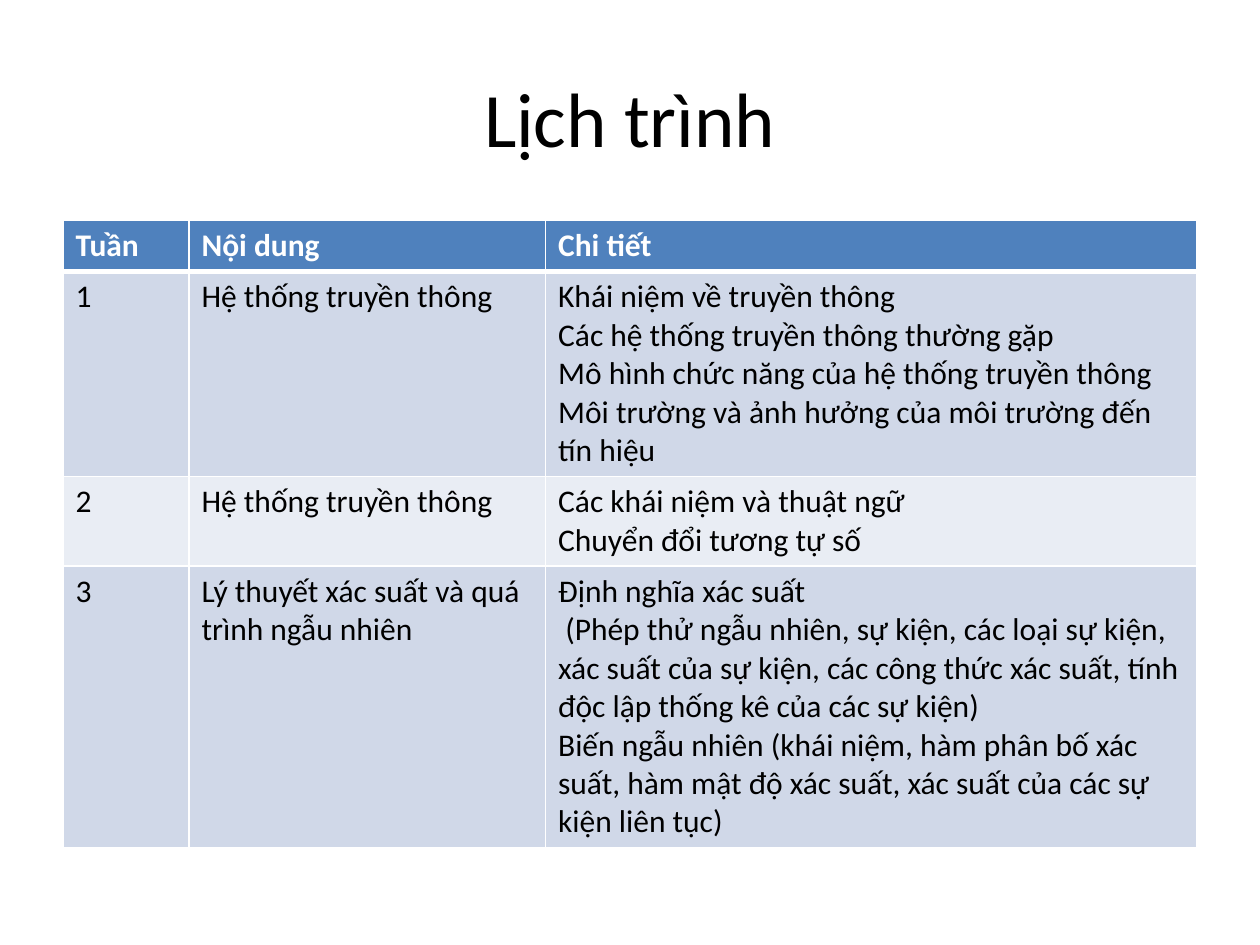
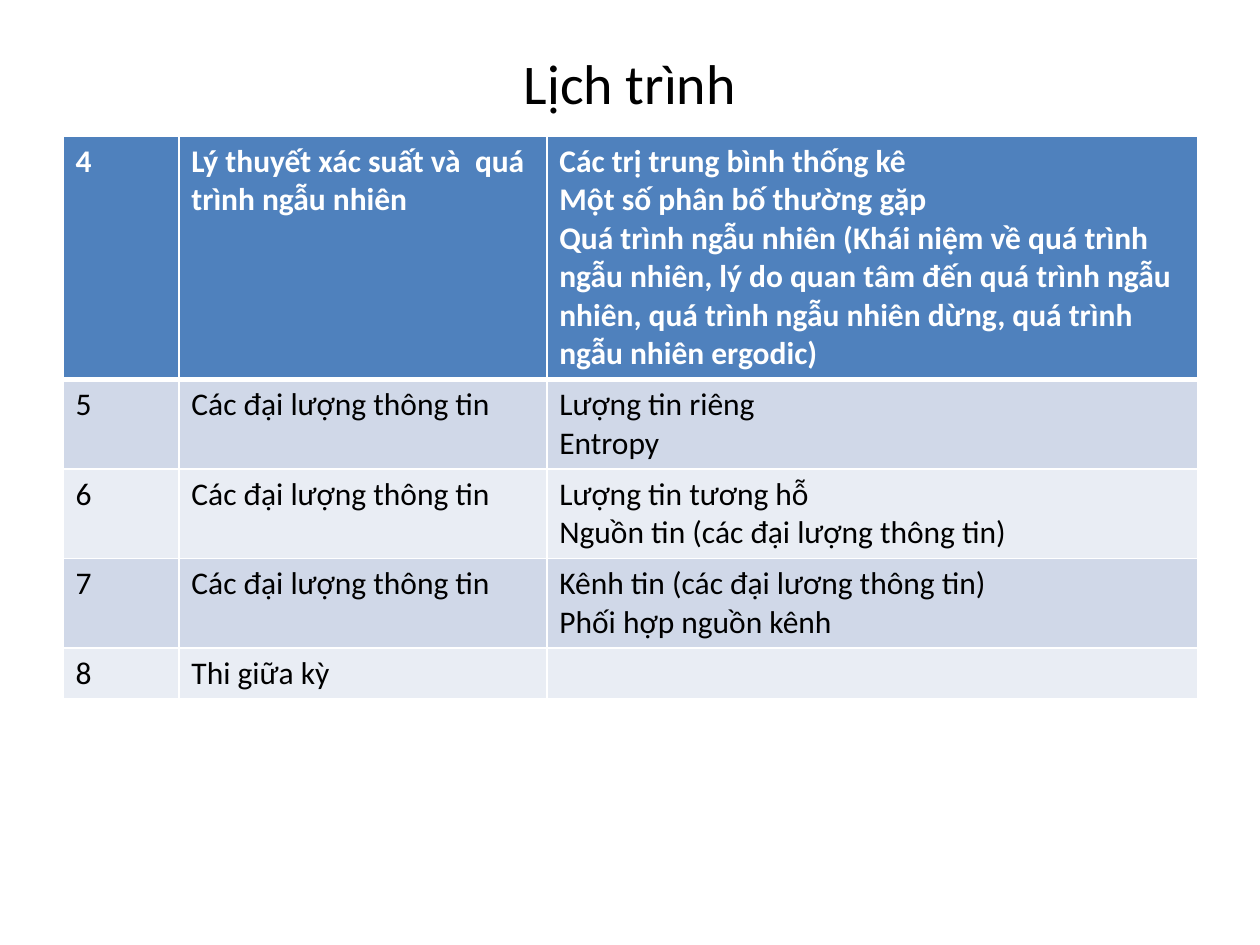
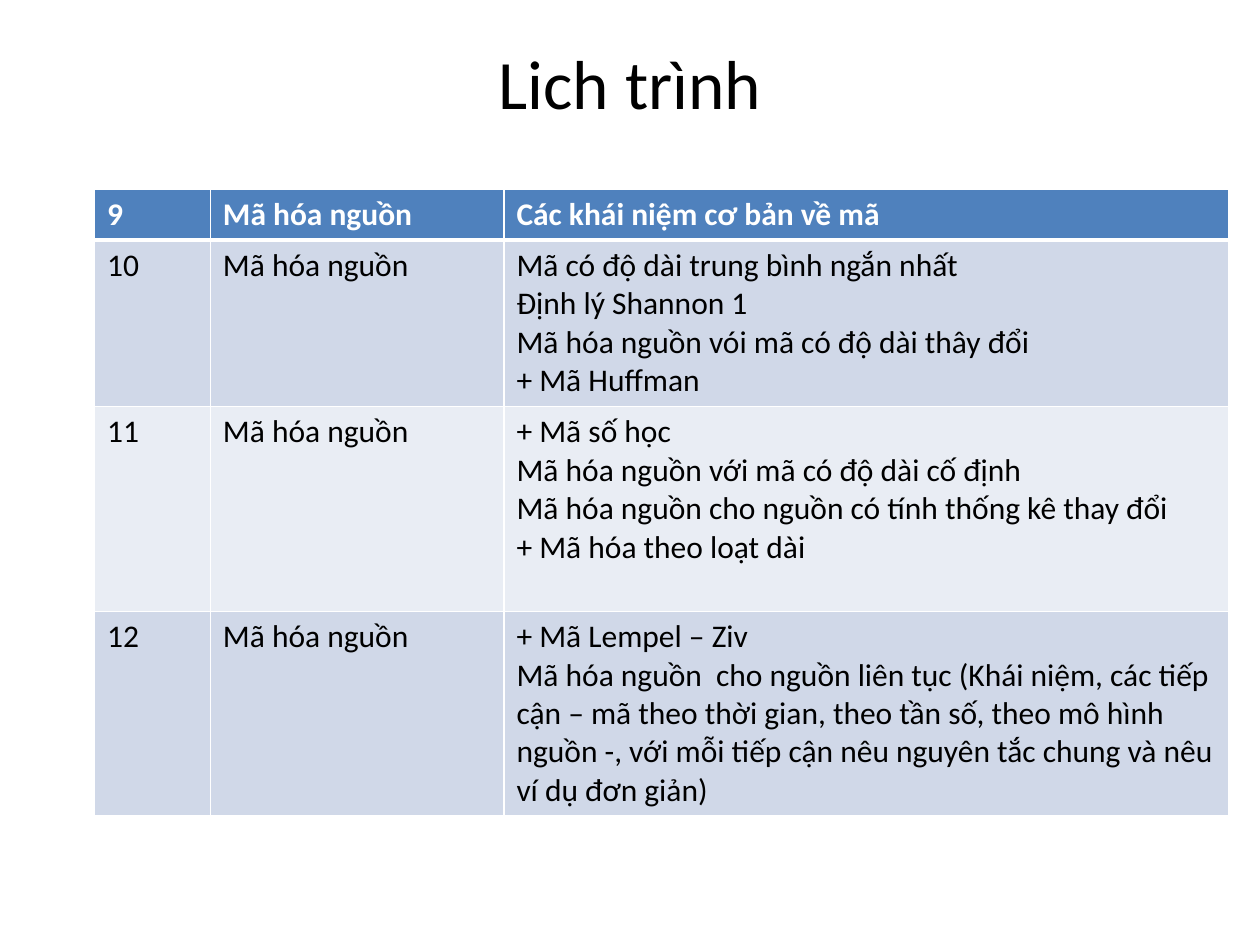
from pptx import Presentation
from pptx.dml.color import RGBColor
from pptx.enum.text import MSO_ANCHOR, MSO_AUTO_SIZE, PP_ALIGN
from pptx.oxml.ns import qn
from pptx.util import Inches, Pt
from lxml import etree

CENTER = PP_ALIGN.CENTER
LEFT = PP_ALIGN.LEFT
MIDDLE = MSO_ANCHOR.MIDDLE
NO_AUTOFIT = MSO_AUTO_SIZE.NONE
TITLE_ONLY = 5

FONT = "Calibri"
BLACK, WHITE = "000000", "FFFFFF"
HEADER_FILL = "4F81BD"
BAND_FILLS = ("D0D8E8", "E9EDF4")
BODY_SIZE = 18
LINE_HEIGHT, ROW_PADDING = 0.305, 0.1
THIN, THICK = 1, 3
TITLE_LEFT, TITLE_TOP, TITLE_WIDTH = 0.5, 0.3, 9

SOURCE_CODING = "Mã hóa nguồn"
INFORMATION = "Các đại lượng thông tin"
SYSTEMS = "Hệ thống truyền thông"

# Each row: number of text lines it holds, week, topic, details
SCHEDULES = [
    {
        "title": "Lịch trình", "title_size": 44, "title_height": 1.25,
        "corner": (0.5, 1.75), "columns": (1, 2.83, 5.17),
        "rows": [
            (1, "Tuần", "Nội dung", ["Chi tiết"]),
            (5, "1", SYSTEMS, [
                "Khái niệm về truyền thông",
                "Các hệ thống truyền thông thường gặp",
                "Mô hình chức năng của hệ thống truyền thông",
                "Môi trường và ảnh hưởng của môi trường đến tín hiệu"]),
            (2, "2", SYSTEMS, [
                "Các khái niệm và thuật ngữ",
                "Chuyển đổi tương tự số"]),
            (7, "3", "Lý thuyết xác suất và quá trình ngẫu nhiên", [
                "Định nghĩa xác suất",
                " (Phép thử ngẫu nhiên, sự kiện, các loại sự kiện, xác suất của sự kiện, "
                "các công thức xác suất, tính độc lập thống kê của các sự kiện)",
                "Biến ngẫu nhiên (khái niệm, hàm phân bố xác suất, hàm mật độ xác suất, "
                "xác suất của các sự kiện liên tục)"]),
        ],
    },
    {
        "title": "Lịch trình", "title_size": 32, "title_height": 0.7,
        "corner": (0.5, 1.08), "columns": (0.92, 2.92, 5.17),
        "rows": [
            (6, "4", "Lý thuyết xác suất và  quá trình ngẫu nhiên", [
                "Các trị trung bình thống kê",
                "Một số phân bố thường gặp",
                "Quá trình ngẫu nhiên (Khái niệm về quá trình ngẫu nhiên, lý do quan tâm "
                "đến quá trình ngẫu nhiên, quá trình ngẫu nhiên dừng, "
                "quá trình ngẫu nhiên ergodic)"]),
            (2, "5", INFORMATION, ["Lượng tin riêng", "Entropy"]),
            (2, "6", INFORMATION, [
                "Lượng tin tương hỗ",
                "Nguồn tin (các đại lượng thông tin)"]),
            (2, "7", INFORMATION, [
                "Kênh tin (các đại lương thông tin)",
                "Phối hợp nguồn kênh"]),
            (1, "8", "Thi giữa kỳ", []),
        ],
    },
    {
        "title": "Lich trình", "title_size": 39.6, "title_height": 0.7,
        "corner": (0.75, 1.5), "columns": (0.92, 2.33, 5.75),
        "rows": [
            (1, "9", SOURCE_CODING, ["Các khái niệm cơ bản về mã"]),
            (4, "10", SOURCE_CODING, [
                "Mã có độ dài trung bình ngắn nhất",
                "Định lý Shannon 1",
                "Mã hóa nguồn vói mã có độ dài thây đổi",
                "+ Mã Huffman"]),
            (5, "11", SOURCE_CODING, [
                "+ Mã số học",
                "Mã hóa nguồn với mã có độ dài cố định",
                "Mã hóa nguồn cho nguồn có tính thống kê thay đổi",
                "+ Mã hóa theo loạt dài"]),
            (5, "12", SOURCE_CODING, [
                "+ Mã Lempel – Ziv",
                "Mã hóa nguồn  cho nguồn liên tục (Khái niệm, các tiếp cận – mã theo "
                "thời gian, theo tần số, theo mô hình nguồn -, với mỗi tiếp cận nêu "
                "nguyên tắc chung và nêu ví dụ đơn giản)"]),
        ],
    },
]


def color(value):
    return RGBColor.from_string(value)


def write(frame, text, size=BODY_SIZE, fill=BLACK, bold=False, align=LEFT):
    frame.text = text
    for para in frame.paragraphs:
        para.alignment = align
        para.font.size = Pt(size)
        for span in para.runs:
            span.font.name = FONT
            span.font.size = Pt(size)
            span.font.bold = bold
            span.font.color.rgb = color(fill)


def set_borders(cell, top, bottom):
    properties = cell._tc.get_or_add_tcPr()
    for side, width in (("L", THIN), ("R", THIN), ("T", top), ("B", bottom)):
        line = etree.SubElement(properties, qn(f"a:ln{side}"), w=str(Pt(width)))
        solid = etree.SubElement(line, qn("a:solidFill"))
        etree.SubElement(solid, qn("a:srgbClr"), val=WHITE)


def add_title(page, schedule):
    title = page.shapes.title
    title.left, title.top = Inches(TITLE_LEFT), Inches(TITLE_TOP)
    title.width, title.height = Inches(TITLE_WIDTH), Inches(schedule["title_height"])
    frame = title.text_frame
    frame.auto_size = NO_AUTOFIT
    frame.vertical_anchor = MIDDLE
    write(frame, schedule["title"], size=schedule["title_size"], align=CENTER)


def add_schedule(page, schedule):
    rows, columns = schedule["rows"], schedule["columns"]
    heights = [row[0] * LINE_HEIGHT + ROW_PADDING for row in rows]
    left, top = schedule["corner"]
    table = page.shapes.add_table(
        len(rows), len(columns), Inches(left), Inches(top),
        Inches(sum(columns)), Inches(sum(heights))).table
    table.horz_banding = False
    for column, width in zip(table.columns, columns):
        column.width = Inches(width)
    for index, (_, week, topic, details) in enumerate(rows):
        table.rows[index].height = Inches(heights[index])
        header = index == 0
        background = HEADER_FILL if header else BAND_FILLS[(index - 1) % 2]
        for position, text in enumerate((week, topic, "\n".join(details))):
            cell = table.cell(index, position)
            set_borders(cell, top=THICK if index == 1 else THIN,
                        bottom=THICK if header else THIN)
            cell.fill.solid()
            cell.fill.fore_color.rgb = color(background)
            write(cell.text_frame, text, fill=WHITE if header else BLACK, bold=header)


def main():
    deck = Presentation()
    deck.slide_width, deck.slide_height = Inches(10), Inches(7.5)
    for schedule in SCHEDULES:
        page = deck.slides.add_slide(deck.slide_layouts[TITLE_ONLY])
        add_title(page, schedule)
        add_schedule(page, schedule)
    deck.save("out.pptx")


if __name__ == "__main__":
    main()
